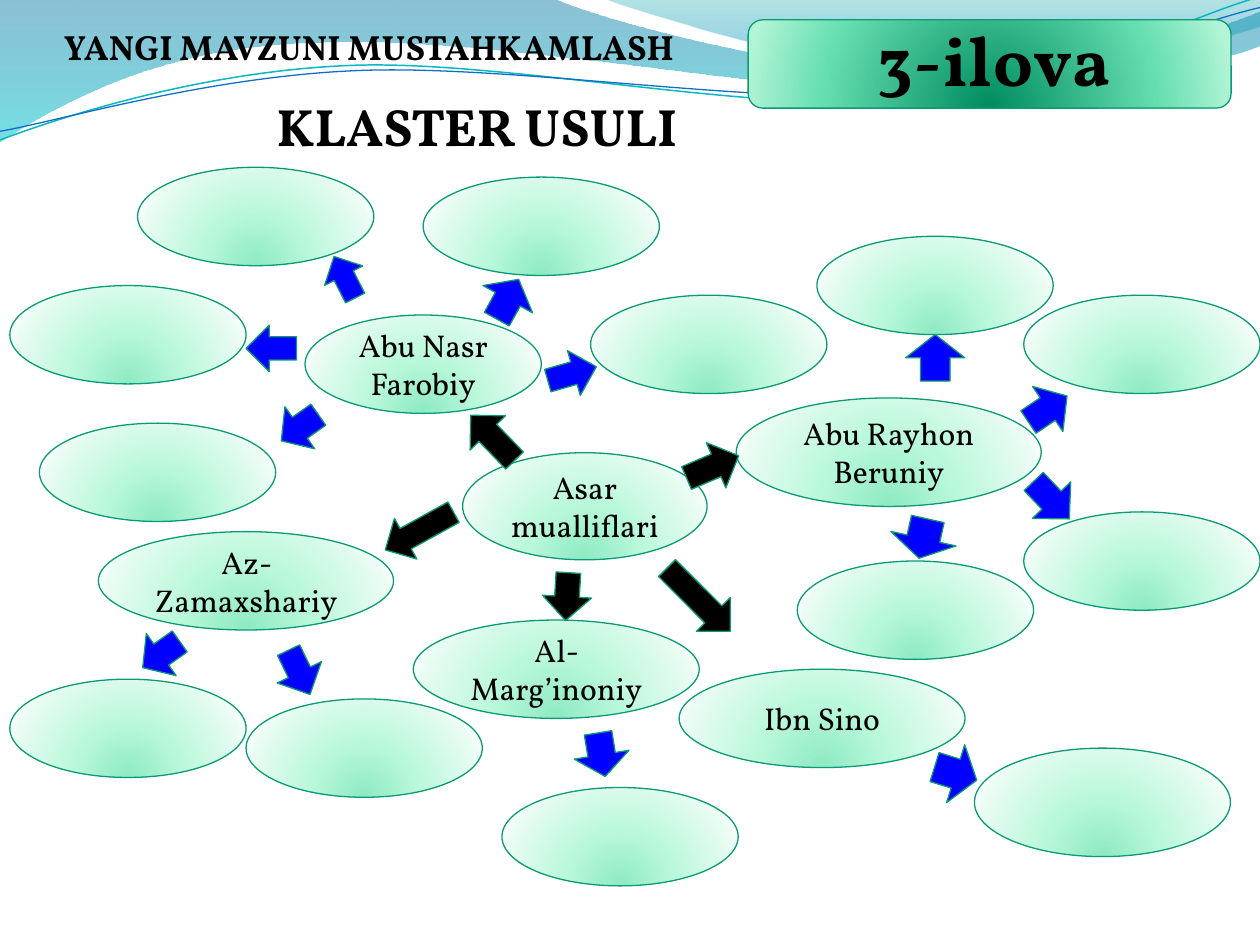
from lxml import etree
from pptx import Presentation
from pptx.dml.color import RGBColor
from pptx.enum.shapes import MSO_SHAPE
from pptx.enum.text import MSO_ANCHOR, PP_ALIGN
from pptx.oxml.ns import qn
from pptx.util import Pt

ELLIPSE, ARROW = MSO_SHAPE.OVAL, MSO_SHAPE.LEFT_ARROW
ROUND_RECT = MSO_SHAPE.ROUNDED_RECTANGLE
CENTER, TOP, MIDDLE = PP_ALIGN.CENTER, MSO_ANCHOR.TOP, MSO_ANCHOR.MIDDLE

FONT = "Vollkorn"
COLORS = {
    "text": "000000", "edge": "0A9B74",
    "detail": "0000FF", "branch": "000000",
    "wave_teal": "0AB8BF", "wave_blue": "0F6FC6",
}

# Gradient stops: position %, colour, opacity %
LEFT_WAVE = [(0, "0074A1", 45), (100, "00C6CF", 55)]
RIGHT_WAVE = [(0, "00A1A9", 30), (80, "008BBF", 45)]
BADGE = [(0, "008C60", 100), (68, "65DEB0", 100), (100, "B2F4D6", 100)]
BUBBLE = [(0, "8DEAC2", 100), (43, "BAF8DB", 100),
          (93, "EAFCF3", 100), (100, "F7FFFB", 100)]

# Outlines: two numbers are a line to a point, six are a cubic curve
FILLED_WAVES = [
    (LEFT_WAVE, [(0, -0.7), (316.8, -0.7),
                 (342.7, 12.2, 478.1, 45.4, 545.8, 45.4),
                 (614.2, 45.4, 689.8, 18.7, 720, 6.5), (720.7, 25.9),
                 (707.8, 31.7, 626.4, 54.7, 537.1, 54),
                 (447.8, 54, 275, 20.2, 185, 24.5),
                 (92.9, 25.2, 33.1, 59.8, -0.7, 81.4)]),
    (RIGHT_WAVE, [(344.9, -0.7), (366.5, 7.9, 491, 44.6, 553.7, 46.8),
                  (616.3, 49.7, 691.9, 23, 720, 15.1), (720, 0)]),
]
LINE_WAVE_ROTATION = 357.3
LINE_WAVES = [
    ("wave_teal", 0.85, [(-1.4, 63), (33.8, 51.7, 114.1, 29.4, 199.8, 29.9),
                         (284.8, 30.3, 425.8, 67.3, 512.4, 64.9),
                         (599, 62.4, 676.5, 25.7, 720.2, 15.5)]),
    ("wave_blue", 0.75, [(-1.1, 58), (32.9, 53.8, 118.3, 32.5, 204.1, 33),
                         (290.6, 33.4, 428.9, 63.1, 515.5, 61.4),
                         (601.3, 59.6, 674.2, 29.9, 721.4, 21.3)]),
]

BADGE_BOX = (427.5, 11.3, 276, 50.5)
HEADINGS = [  # text, box, format
    ("YANGI MAVZUNI MUSTAHKAMLASH", (5.6, 11, 410.5, 31.5), {"size": 20}),
    ("3-ilova", (450.2, 5.6, 236, 55.7), {"size": 40, "spacing": 0.5}),
    ("KLASTER USULI", (129.3, 50.4, 286.5, 43.6), {"size": 30}),
]

W, H = 135, 56.2
AUTHORS = [
    ("Asar mualliflari", (264.4, 258.7, 139.7, 61.2)),
    ("Al-Marg’inoniy", (236.2, 354.3, 163.4, H)),
    ("Abu Nasr Farobiy", (174.3, 180, W, H)),
    ("Abu Rayhon Beruniy", (420.7, 227.4, 174.3, 62)),
    ("Az-Zamaxshariy", (56.2, 303.8, 168.7, H)),
    ("Ibn Sino", (388.1, 382.4, 163.4, H)),
]
EMPTY_BUBBLES = [
    (337.5, 168.7), (241.8, 101.2), (78.6, 95.6), (5.6, 163.2), (22.5, 241.8),
    (466.8, 135), (585, 168.7), (455.6, 320.6), (585, 292.5),
    (5.6, 388.1), (140.6, 399.4), (286.8, 450),
]
LARGE_EMPTY_BUBBLE = (556.8, 427.5, 146.3, 62)

ARROWS = {  # left, top, width, height, rotation
    "detail": [
        (331.2, 415.4, 25.2, 31.7, 260.8), (183.6, 146.2, 26.6, 24.5, 63),
        (586.1, 270.7, 29.5, 30.2, 226.4), (158.4, 229.7, 25.9, 29.5, 324.7),
        (277.2, 154.8, 25.9, 32.4, 118.8), (140.6, 185.8, 28.8, 26.6, 0),
        (585.4, 218.2, 26.6, 31, 146.1), (521.1, 187.6, 26.6, 33.8, 90),
        (312.5, 200.2, 28.8, 26.6, 164.1), (79.2, 359.3, 25.9, 29.5, 324.7),
        (157, 370.1, 28.1, 28.1, 244.2), (533.5, 424.8, 25.2, 34.6, 197.3),
        (516.2, 288.7, 23, 38.2, 282.6),
    ],
    "branch": [
        (373.7, 329, 51.1, 27.4, 225), (217.4, 290.2, 44.6, 26.6, 331.1),
        (263.5, 236.2, 36, 28.1, 45.9), (391, 252.7, 32.4, 28.1, 156.8),
        (310.3, 326.9, 27.4, 28.1, 273.4),
    ],
}


def rgb(name):
    return RGBColor.from_string(COLORS[name])


def add_child(parent, tag, **attrs):
    child = etree.SubElement(parent, qn(tag))
    for key, value in attrs.items():
        child.set(key, str(value))
    return child


def set_gradient(sp, stops, radial=True):
    """Radial gradients start below the shape, others run downwards."""
    sp.fill.gradient()
    grad = sp.element.spPr.find(qn("a:gradFill"))
    for child in list(grad):
        grad.remove(child)
    stop_list = add_child(grad, "a:gsLst")
    for position, color, opacity in stops:
        stop = add_child(stop_list, "a:gs", pos=position * 1000)
        clr = add_child(stop, "a:srgbClr", val=color)
        if opacity < 100:
            add_child(clr, "a:alpha", val=opacity * 1000)
    if radial:
        add_child(add_child(grad, "a:path", path="circle"), "a:fillToRect",
                  l=50000, t=130000, r=50000, b=-30000)
    else:
        add_child(grad, "a:lin", ang=5400000, scaled=0)


def add_wave(slide, outline, close):
    """Join the end points with lines, then bend lines into cubic curves."""
    ends = [(Pt(segment[-2]), Pt(segment[-1])) for segment in outline]
    builder = slide.shapes.build_freeform(*ends[0])
    builder.add_line_segments(ends[1:], close=close)
    sp = builder.convert_to_shape()
    sp.shadow.inherit = False
    lines = list(sp.element.iter(qn("a:lnTo")))
    for line, segment in zip(lines, outline[1:]):
        if len(segment) == 6:
            curve = etree.Element(qn("a:cubicBezTo"))
            for x, y in zip(segment[::2], segment[1::2]):
                add_child(curve, "a:pt", x=Pt(x) - sp.left, y=Pt(y) - sp.top)
            line.getparent().replace(line, curve)
    return sp


def add_green_shape(slide, kind, box):
    """Add a preset shape with the green edge."""
    sp = slide.shapes.add_shape(kind, *map(Pt, box))
    sp.line.color.rgb = rgb("edge")
    sp.line.width = Pt(0.75)
    sp.shadow.inherit = False
    return sp


def write(sp, text, size=18, bold=False, spacing=0, anchor=MIDDLE):
    tf = sp.text_frame
    tf.word_wrap = True
    tf.vertical_anchor = anchor
    p = tf.paragraphs[0]
    p.alignment = CENTER
    r = p.add_run()
    r.text = text
    r.font.name, r.font.size, r.font.bold = FONT, Pt(size), bold
    r.font.color.rgb = rgb("text")
    if spacing:
        r.font._element.set("spc", str(round(spacing * 100)))


def main():
    prs = Presentation()
    prs.slide_width, prs.slide_height = Pt(720), Pt(540)
    slide = prs.slides.add_slide(prs.slide_layouts[6])

    for stops, outline in FILLED_WAVES:
        sp = add_wave(slide, outline, close=True)
        set_gradient(sp, stops, radial=False)
        sp.line.fill.background()
    for color, width, outline in LINE_WAVES:
        sp = add_wave(slide, outline, close=False)
        sp.rotation = LINE_WAVE_ROTATION
        sp.fill.background()
        sp.line.color.rgb = rgb(color)
        sp.line.width = Pt(width)

    set_gradient(add_green_shape(slide, ROUND_RECT, BADGE_BOX), BADGE)
    for text, box, style in HEADINGS:
        sp = slide.shapes.add_textbox(*map(Pt, box))
        write(sp, text, bold=True, anchor=TOP, **style)

    empty = [(x, y, W, H) for x, y in EMPTY_BUBBLES] + [LARGE_EMPTY_BUBBLE]
    for text, box in AUTHORS + [("", box) for box in empty]:
        sp = add_green_shape(slide, ELLIPSE, box)
        set_gradient(sp, BUBBLE)
        if text:
            write(sp, text)

    for color, arrows in ARROWS.items():
        for *box, rotation in arrows:
            sp = add_green_shape(slide, ARROW, box)
            sp.rotation = rotation
            sp.fill.solid()
            sp.fill.fore_color.rgb = rgb(color)

    prs.save("out.pptx")


if __name__ == "__main__":
    main()
